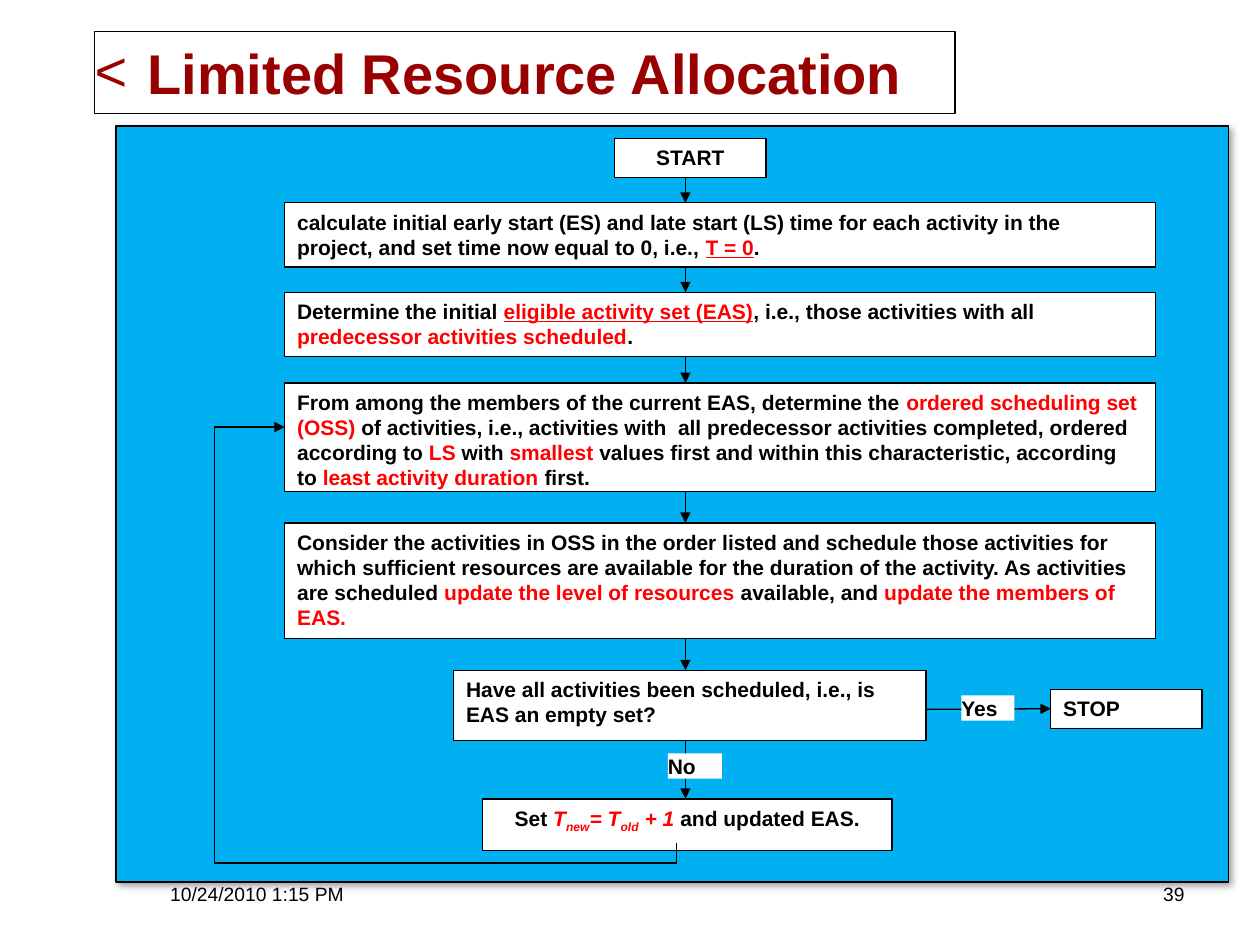
from lxml import etree
from pptx import Presentation
from pptx.dml.color import RGBColor
from pptx.enum.shapes import MSO_CONNECTOR, MSO_SHAPE
from pptx.enum.text import MSO_ANCHOR, PP_ALIGN
from pptx.oxml.ns import qn
from pptx.util import Inches, Pt

BLACK, WHITE, RED, MAROON, SKY = "000000", "FFFFFF", "FF0000", "990000", "00B0F0"
LEFT, CENTER, RIGHT, JUSTIFY = PP_ALIGN.LEFT, PP_ALIGN.CENTER, PP_ALIGN.RIGHT, PP_ALIGN.JUSTIFY

# Content: each span is (text, marks); r red, u underlined, i italic, s subscript
TITLE = "Limited Resource Allocation"
WIDE = (2.26, 6.91)  # left and width of the main steps
# Steps: left and width, top, height, alignment, spans
STEPS = [
    ((4.88, 1.2), 1.1, 0.31, CENTER, [("START", "")]),
    (WIDE, 1.61, 0.51, LEFT, [
        ("calculate initial early start (ES) and late start (LS) time for each activity "
         "in the project, and set time now equal to 0, i.e., ", ""),
        ("T = 0", "ru"), (".", "")]),
    (WIDE, 2.32, 0.51, LEFT, [
        ("Determine the initial ", ""), ("eligible activity set (EAS)", "ru"),
        (", i.e., those activities with all ", ""),
        ("predecessor activities scheduled", "r"), (".", "")]),
    (WIDE, 3.04, 0.86, LEFT, [
        ("From among the members of the current EAS, determine the ", ""),
        ("ordered scheduling set (OSS)", "r"),
        (" of activities, i.e., activities with  all predecessor activities completed, "
         "ordered according to ", ""),
        ("LS", "r"), (" with ", ""), ("smallest", "r"),
        (" values first and within this characteristic, according to ", ""),
        ("least activity duration ", "r"), ("first.", "")]),
    (WIDE, 4.15, 0.92, LEFT, [
        ("Consider the activities in OSS in the order listed and schedule those activities "
         "for which sufficient resources are available for the duration of the activity. "
         "As activities are scheduled ", ""),
        ("update the level of resources ", "r"), ("available, and ", ""),
        ("update the members of EAS.", "r")]),
    ((3.6, 3.75), 5.32, 0.56, LEFT, [
        ("Have all activities been scheduled, i.e., is EAS an empty set?", "")]),
    ((3.83, 3.25), 6.34, 0.41, CENTER, [
        ("Set ", ""), ("T", "ri"), ("new", "ris"), ("= T", "ri"), ("old", "ris"),
        (" + 1 ", "ri"), ("and updated EAS.", "")]),
]
STOP = (8.34, 5.47, 1.2, 0.31)
LABELS = [("Yes", (7.63, 5.52, 0.42, 0.2)), ("No", (5.3, 5.98, 0.43, 0.2))]
FOOTER = [("10/24/2010 1:15 PM", (0.5, 6.95, 2.33, 0.4)), ("39", (8.67, 6.95, 0.83, 0.4))]
FLOW_X = 5.44
LOOP = [(5.37, 6.69), (5.37, 6.85), (1.7, 6.85), (1.7, 3.39), (WIDE[0], 3.39)]


def color(value):
    return RGBColor.from_string(value)


def add_xml(parent, tag, **attributes):
    return etree.SubElement(parent, qn(tag), attributes)


def style_box(box, fill, outlined=True):
    box.fill.solid()
    box.fill.fore_color.rgb = color(fill)
    if outlined:
        box.line.color.rgb = color(BLACK)
        box.line.width = Pt(0.75)
    else:
        box.line.fill.background()


def add_box(place, fill=WHITE, outlined=True):
    box = page.shapes.add_shape(MSO_SHAPE.RECTANGLE, *map(Inches, place))
    box.shadow.inherit = False
    style_box(box, fill, outlined)
    return box


def set_frame(box, inset_x, inset_y, anchor=MSO_ANCHOR.TOP):
    frame = box.text_frame
    frame.word_wrap = True
    frame.vertical_anchor = anchor
    frame.margin_left = frame.margin_right = Inches(inset_x)
    frame.margin_top = frame.margin_bottom = Inches(inset_y)
    return frame.paragraphs[0]


def write(para, spans, align=LEFT, size=12, bold=True):
    para.alignment = align
    for text, marks in spans:
        span = para.add_run()
        span.text = text
        font = span.font
        font.name, font.size, font.bold = "Arial", Pt(size), bold
        font.color.rgb = color(RED if "r" in marks else BLACK)
        if "u" in marks:
            font.underline = True
        if "i" in marks:
            font.italic = True
        if "s" in marks:
            span._r.get_or_add_rPr().set("baseline", "-25000")


def add_line(start, end, arrow=True):
    line = page.shapes.add_connector(MSO_CONNECTOR.STRAIGHT, *map(Inches, start + end))
    line.line.color.rgb = color(BLACK)
    line.line.width = Pt(0.75)
    if arrow:
        add_xml(line.line._get_or_add_ln(), "a:tailEnd", type="triangle")
    add_xml(line._element.spPr, "a:effectLst")
    return line


deck = Presentation()
deck.slide_width, deck.slide_height = Inches(10), Inches(7.5)
page = deck.slides.add_slide(deck.slide_layouts[5])

# Title with its bullet
title = page.shapes.title
title.left, title.top, title.width, title.height = map(Inches, (0.75, 0.25, 6.83, 0.65))
style_box(title, WHITE)
para = set_frame(title, 0, 0, MSO_ANCHOR.MIDDLE)
para.text = TITLE
para.alignment = LEFT
properties = para._p.get_or_add_pPr()
properties.set("marL", str(Inches(0.42)))
properties.set("indent", str(-Inches(0.42)))
add_xml(add_xml(properties, "a:buClr"), "a:srgbClr", val=MAROON)
add_xml(properties, "a:buFont", typeface="Arial")
add_xml(properties, "a:buChar", char="<")
font = para.runs[0].font
font.name, font.size, font.bold = "Arial", Pt(32), True
font.color.rgb = color(MAROON)

# Date and page number
for text, place in FOOTER:
    box = page.shapes.add_textbox(*map(Inches, place))
    write(set_frame(box, 0.1, 0.05), [(text, "")], RIGHT, 11, False)

# Blue panel with its shadow
panel = add_box((0.92, 1, 8.83, 6), SKY)
shadow = add_xml(panel._element.spPr.find(qn("a:effectLst")), "a:outerShdw",
                 blurRad=str(Pt(4)), dist=str(Pt(3)), dir="2700000",
                 algn="tl", rotWithShape="0")
add_xml(add_xml(shadow, "a:srgbClr", val=BLACK), "a:alpha", val="40000")

# Steps
for (left, width), top, height, align, spans in STEPS:
    box = add_box((left, top, width, height))
    inset = 0.05 if top == STEPS[-1][1] else 0.1
    write(set_frame(box, inset, 0.05), spans, align)
stop = add_box(STOP)
write(set_frame(stop, 0.1, 0.05), [("STOP", "")], JUSTIFY)

# Arrows down from step to step, then across to the stop
for (_, top, height, *_), (_, next_top, *_) in zip(STEPS, STEPS[1:]):
    add_line((FLOW_X, top + height), (FLOW_X, next_top))
(question_left, question_width), *_ = STEPS[-2]
add_line((question_left + question_width, 5.63), (STOP[0], 5.63)).end_connect(stop, 1)

# Loop back to the ordered set
for start, end in zip(LOOP, LOOP[1:]):
    add_line(start, end, arrow=end == LOOP[-1])

# Branch labels
for text, place in LABELS:
    write(set_frame(add_box(place, outlined=False), 0, 0), [(text, "")], JUSTIFY)

deck.save("out.pptx")
